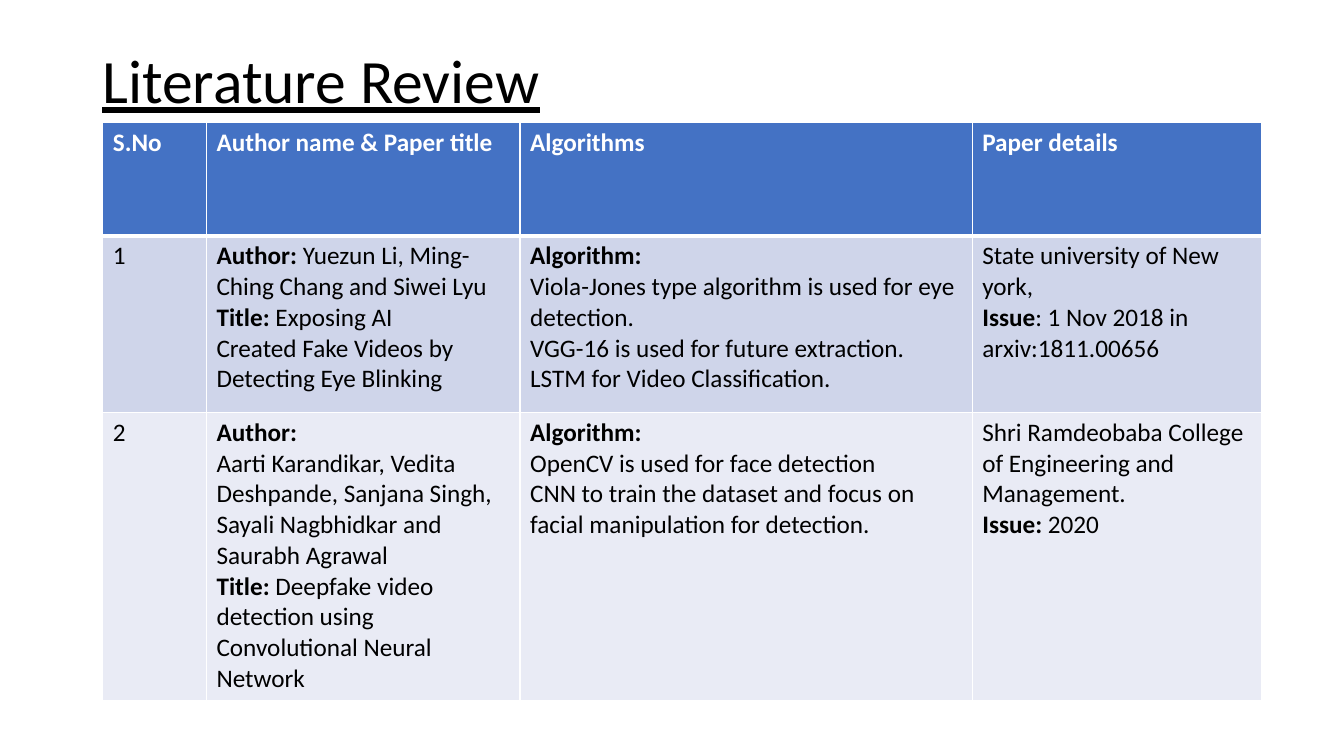
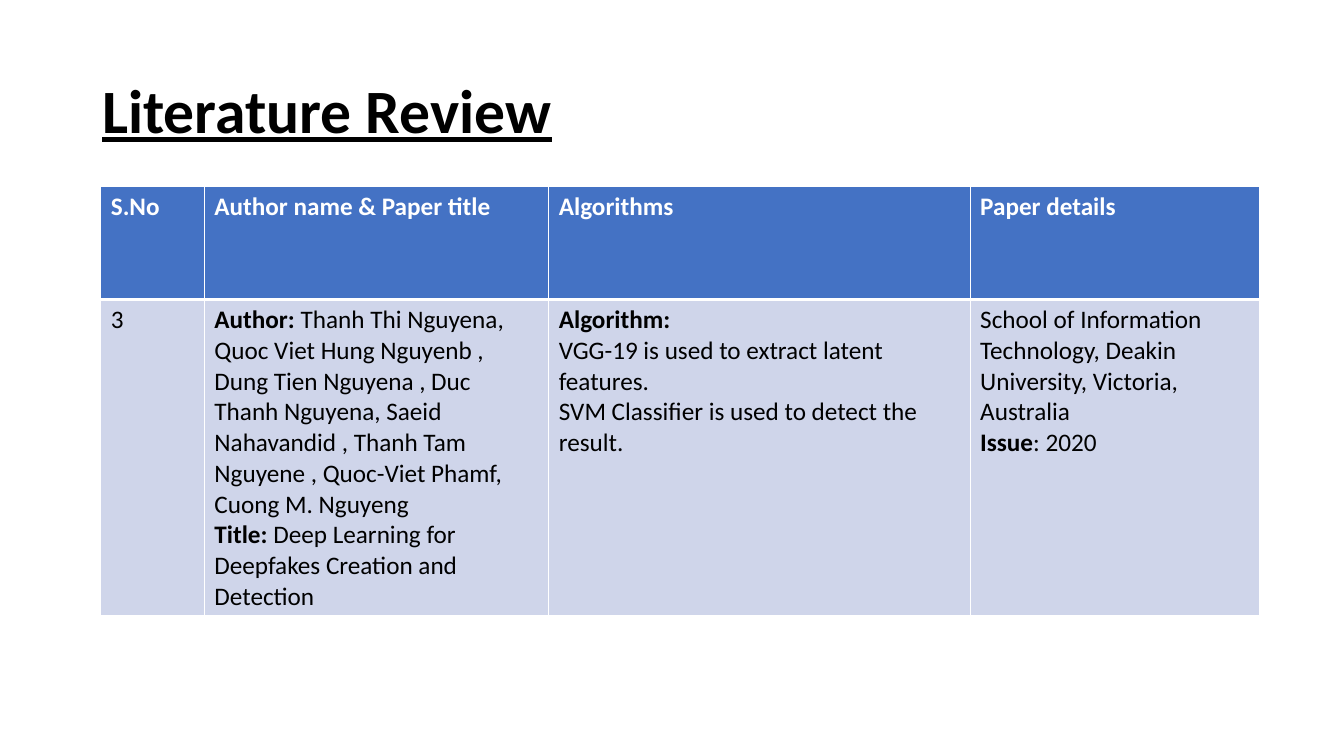
from dataclasses import dataclass

from lxml.etree import SubElement
from pptx import Presentation
from pptx.dml.color import RGBColor
from pptx.enum.text import MSO_ANCHOR
from pptx.oxml.ns import qn
from pptx.util import Pt


@dataclass(frozen=True)
class Theme:
    font: str = "Calibri"
    title: int = 44
    body: int = 18
    ink: str = "000000"
    white: str = "FFFFFF"
    head: str = "4472C4"
    bands: tuple = ("CFD5EA", "E9EBF5")
    rule: int = 1
    thick: int = 3


THEME = Theme()
LEFT, WIDTH = 66, 828
TITLE = "Literature Review"
HEADS = ["S.No", "Author name & Paper title", "Algorithms", "Paper details"]

# Each cell is a list of paragraphs; text between asterisks is bold.
FIRST = [
    [
        ["1"],
        ["*Author: *Yuezun Li, Ming-Ching Chang and Siwei Lyu *Title: *Exposing AI",
         "Created Fake Videos by Detecting Eye Blinking"],
        ["*Algorithm:*",
         "Viola-Jones type algorithm is used for eye detection.",
         "VGG-16 is used for future extraction.",
         "LSTM for Video Classification."],
        ["State university of New york,",
         "*Issue*: 1 Nov 2018 in arxiv:1811.00656"],
    ],
    [
        ["2"],
        ["*Author:*",
         "Aarti Karandikar, Vedita Deshpande, Sanjana Singh, "
         "Sayali Nagbhidkar and Saurabh Agrawal",
         "*Title: *Deepfake video detection using",
         "Convolutional Neural Network"],
        ["*Algorithm:*",
         "OpenCV is used for face detection",
         "CNN to train the dataset and focus on facial manipulation for detection."],
        ["Shri Ramdeobaba College of Engineering and Management.",
         "*Issue: *2020"],
    ],
]
SECOND = [
    [
        ["3"],
        ["*Author: *Thanh Thi Nguyena, Quoc Viet Hung Nguyenb , "
         "Dung Tien Nguyena , Duc Thanh Nguyena, Saeid Nahavandid , "
         "Thanh Tam Nguyene , Quoc-Viet Phamf, Cuong M. Nguyeng",
         "*Title: *Deep Learning for Deepfakes Creation and Detection"],
        ["*Algorithm:*",
         "VGG-19 is used to extract latent features.",
         "SVM Classifier is used to detect the result."],
        ["School of Information Technology, Deakin University, Victoria, Australia",
         "*Issue*: 2020"],
    ],
]


def add_run(para, text, size, color, bold=False, under=False):
    run = para.add_run()
    run.text = text
    font = run.font
    font.name, font.size = THEME.font, Pt(size)
    font.bold, font.underline = bold, under
    font.color.rgb = RGBColor.from_string(color)


def add_title(slide, top, bold):
    frame = slide.shapes.add_textbox(Pt(LEFT), Pt(top), Pt(WIDTH), Pt(104)).text_frame
    frame.word_wrap = True
    frame.vertical_anchor = MSO_ANCHOR.MIDDLE
    para = frame.paragraphs[0]
    para.line_spacing = 0.9
    add_run(para, TITLE, THEME.title, THEME.ink, bold, under=True)


def fill_text(frame, lines, color, bold):
    """Write the paragraphs, switching bold at each asterisk."""
    for i, line in enumerate(lines):
        para = frame.add_paragraph() if i else frame.paragraphs[0]
        for j, part in enumerate(line.split("*")):
            if part:
                add_run(para, part, THEME.body, color, bold or j % 2 == 1)


def set_rules(cell, top, bottom):
    props = cell._tc.get_or_add_tcPr()
    sides = {"L": THEME.rule, "R": THEME.rule, "T": top, "B": bottom}
    for side, width in sides.items():
        line = SubElement(props, qn(f"a:ln{side}"), w=str(Pt(width)))
        solid = SubElement(line, qn("a:solidFill"))
        SubElement(solid, qn("a:srgbClr"), val=THEME.white)


def style_cell(cell, row, lines):
    head = row == 0
    set_rules(cell,
              THEME.thick if row == 1 else THEME.rule,
              THEME.thick if head else THEME.rule)
    cell.fill.solid()
    fill = THEME.head if head else THEME.bands[(row - 1) % 2]
    cell.fill.fore_color.rgb = RGBColor.from_string(fill)
    fill_text(cell.text_frame, lines, THEME.white if head else THEME.ink, head)


def add_grid(slide, left, top, widths, heights, papers):
    rows = [[[head] for head in HEADS], *papers]
    table = slide.shapes.add_table(
        len(rows), len(HEADS), Pt(left), Pt(top),
        Pt(sum(widths)), Pt(sum(heights))).table
    for col, width in zip(table.columns, widths):
        col.width = Pt(width)
    for r, (cells, height) in enumerate(zip(rows, heights)):
        table.rows[r].height = Pt(height)
        for c, lines in enumerate(cells):
            style_cell(table.cell(r, c), r, lines)


def main():
    deck = Presentation()
    deck.slide_width, deck.slide_height = Pt(960), Pt(540)
    blank = deck.slide_layouts[6]

    slide = deck.slides.add_slide(blank)
    add_title(slide, 8, bold=False)
    add_grid(slide, 73.5, 87.5, [74, 224, 323, 207], [81, 126, 206], FIRST)

    slide = deck.slides.add_slide(blank)
    add_title(slide, 29, bold=True)
    add_grid(slide, 72, 133, [74, 246, 301, 207], [81, 226], SECOND)

    deck.save("out.pptx")


if __name__ == "__main__":
    main()
